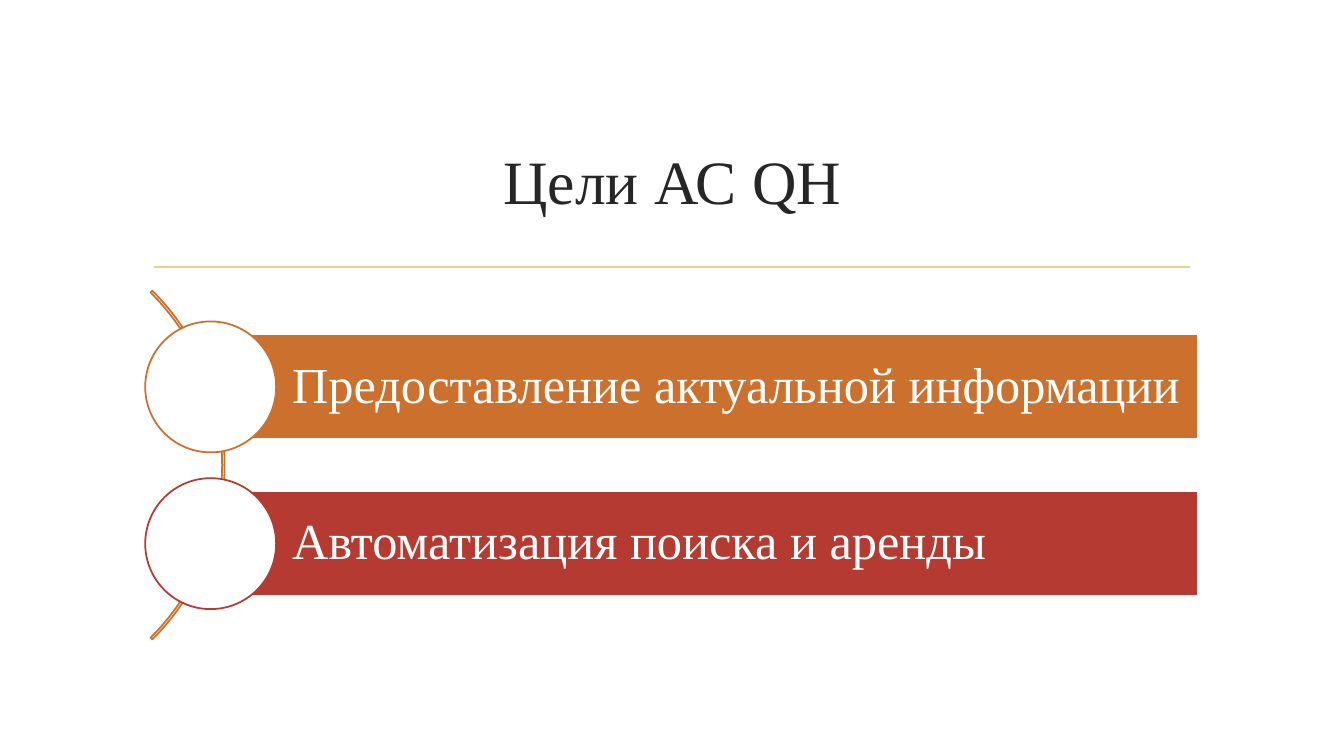
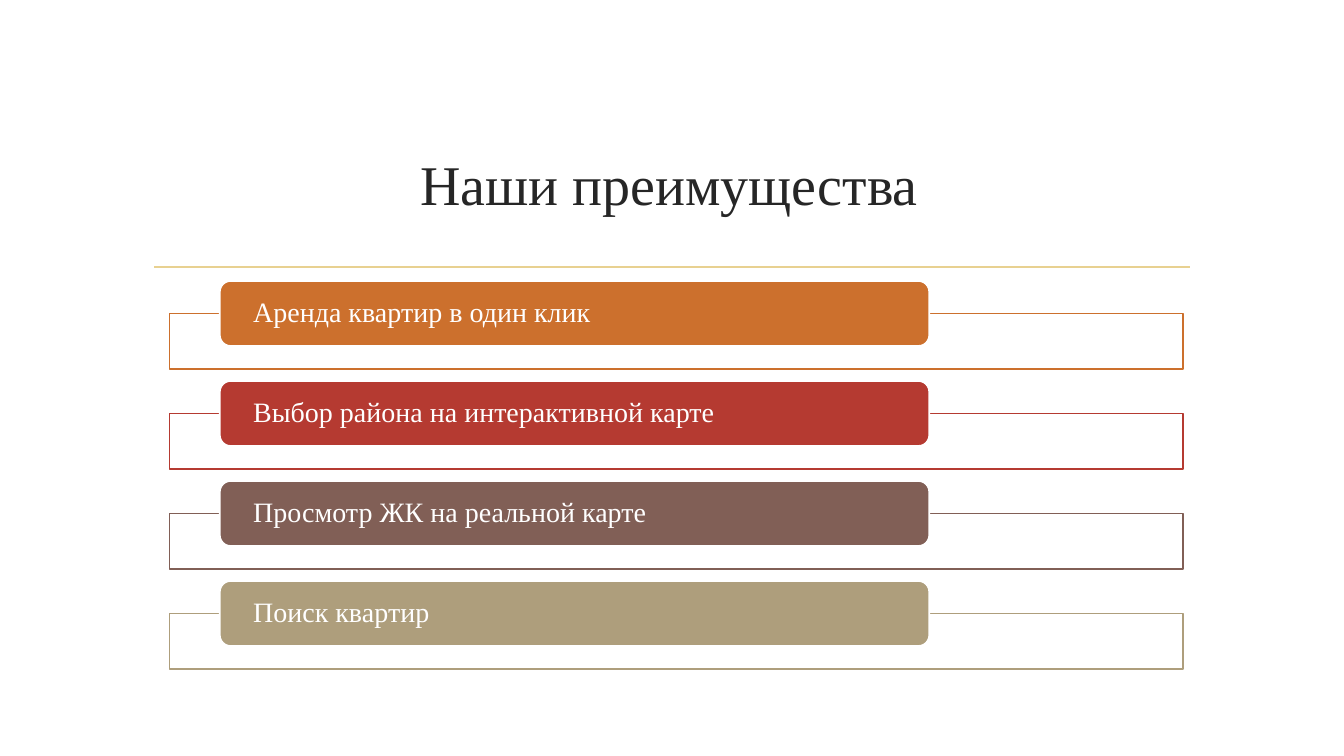
from lxml import etree
from pptx import Presentation
from pptx.dml.color import RGBColor
from pptx.enum import shapes, text
from pptx.oxml import ns
from pptx.util import Cm, Pt

WHITE = RGBColor(0xFF, 0xFF, 0xFF)
INK = RGBColor(0x26, 0x26, 0x26)
GOLD = RGBColor(0xE8, 0xD1, 0x91)
ORANGE = RGBColor(0xCC, 0x70, 0x2D)
RED = RGBColor(0xB5, 0x3A, 0x31)
BROWN = RGBColor(0x81, 0x5F, 0x56)
SAND = RGBColor(0xAE, 0x9E, 0x7C)

SHAPE = shapes.MSO_SHAPE


class Deck:
    font = "Times New Roman"
    line_width = Pt(1.25)

    def __init__(self):
        self.file = Presentation()
        self.file.slide_width = Cm(33.87)
        self.file.slide_height = Cm(19.05)
        self.page = None

    def add_page(self, title, size, left, top, width, height):
        """Start a slide with its centred title and the gold rule below."""
        self.page = self.file.slides.add_slide(self.file.slide_layouts[6])
        self.rule(3.89, 30, 6.73)
        box = self.page.shapes.add_textbox(Cm(left), Cm(top), Cm(width), Cm(height))
        self.set_text(box, title, size, INK, text.PP_ALIGN.CENTER)

    def rule(self, start, end, y):
        line = self.page.shapes.add_connector(
            shapes.MSO_CONNECTOR.STRAIGHT, Cm(start), Cm(y), Cm(end), Cm(y))
        line.line.color.rgb = GOLD
        line.line.width = self.line_width
        etree.SubElement(line._element.spPr, ns.qn("a:effectLst"))

    def shape(self, kind, left, top, width, height, line, fill=None):
        shape = self.page.shapes.add_shape(
            kind, Cm(left), Cm(top), Cm(width), Cm(height))
        shape.shadow.inherit = False
        shape.line.color.rgb = line
        shape.line.width = self.line_width
        if fill is None:
            shape.fill.background()
        else:
            shape.fill.solid()
            shape.fill.fore_color.rgb = fill
        return shape

    def set_text(self, box, words, size, color, align,
                 left=0.25, right=0.25, spacing=1.0):
        frame = box.text_frame
        frame.word_wrap = True
        frame.vertical_anchor = text.MSO_ANCHOR.MIDDLE
        frame.margin_left, frame.margin_right = Cm(left), Cm(right)
        para = frame.paragraphs[0]
        para.alignment = align
        para.line_spacing = spacing
        span = para.add_run()
        span.text = words
        span.font.name = self.font
        span.font.size = Pt(size)
        span.font.color.rgb = color

    def arc(self, left, top, size):
        arc = self.shape(SHAPE.BLOCK_ARC, left, top, size, size, ORANGE)
        for index, value in enumerate((189, 27, 0.005)):
            arc.adjustments[index] = value

    def goal(self, words, top, color):
        """A bar with a white circle centred on its left end."""
        height, circle = 2.64, 3.3
        bar = self.shape(SHAPE.RECTANGLE, 5.28, top, 24.92, height, WHITE, color)
        self.set_text(bar, words, 36, WHITE, text.PP_ALIGN.LEFT,
                      left=2.08, spacing=0.9)
        self.shape(SHAPE.OVAL, 3.66, top + (height - circle) / 2,
                   circle, circle, color, WHITE)

    def advantage(self, words, top, color):
        """A rounded label over the top edge of an outlined frame."""
        self.shape(SHAPE.RECTANGLE, 4.27, top + 0.82, 25.55, 1.4, color, WHITE)
        label = self.shape(SHAPE.ROUNDED_RECTANGLE, 5.54, top, 17.88, 1.64,
                           WHITE, color)
        self.set_text(label, words, 20, WHITE, text.PP_ALIGN.LEFT,
                      left=0.76, right=0.76, spacing=0.9)


def main():
    deck = Deck()

    deck.add_page("Цели АС QH", 44, 3.61, 2.72, 26.67, 3.63)
    deck.arc(-6.76, 5.51, 12.42)
    goals = [
        ("Предоставление актуальной информации", ORANGE),
        ("Автоматизация поиска и аренды", RED),
    ]
    for row, (words, color) in enumerate(goals):
        deck.goal(words, 8.43 + row * 3.95, color)

    deck.add_page("Наши преимущества", 40, 3.91, 3.15, 25.91, 2.92)
    advantages = [
        ("Аренда квартир в один клик", ORANGE),
        ("Выбор района на интерактивной карте", RED),
        ("Просмотр ЖК на реальной карте", BROWN),
        ("Поиск квартир", SAND),
    ]
    for row, (words, color) in enumerate(advantages):
        deck.advantage(words, 7.08 + row * 2.52, color)

    deck.file.save("out.pptx")


if __name__ == "__main__":
    main()
